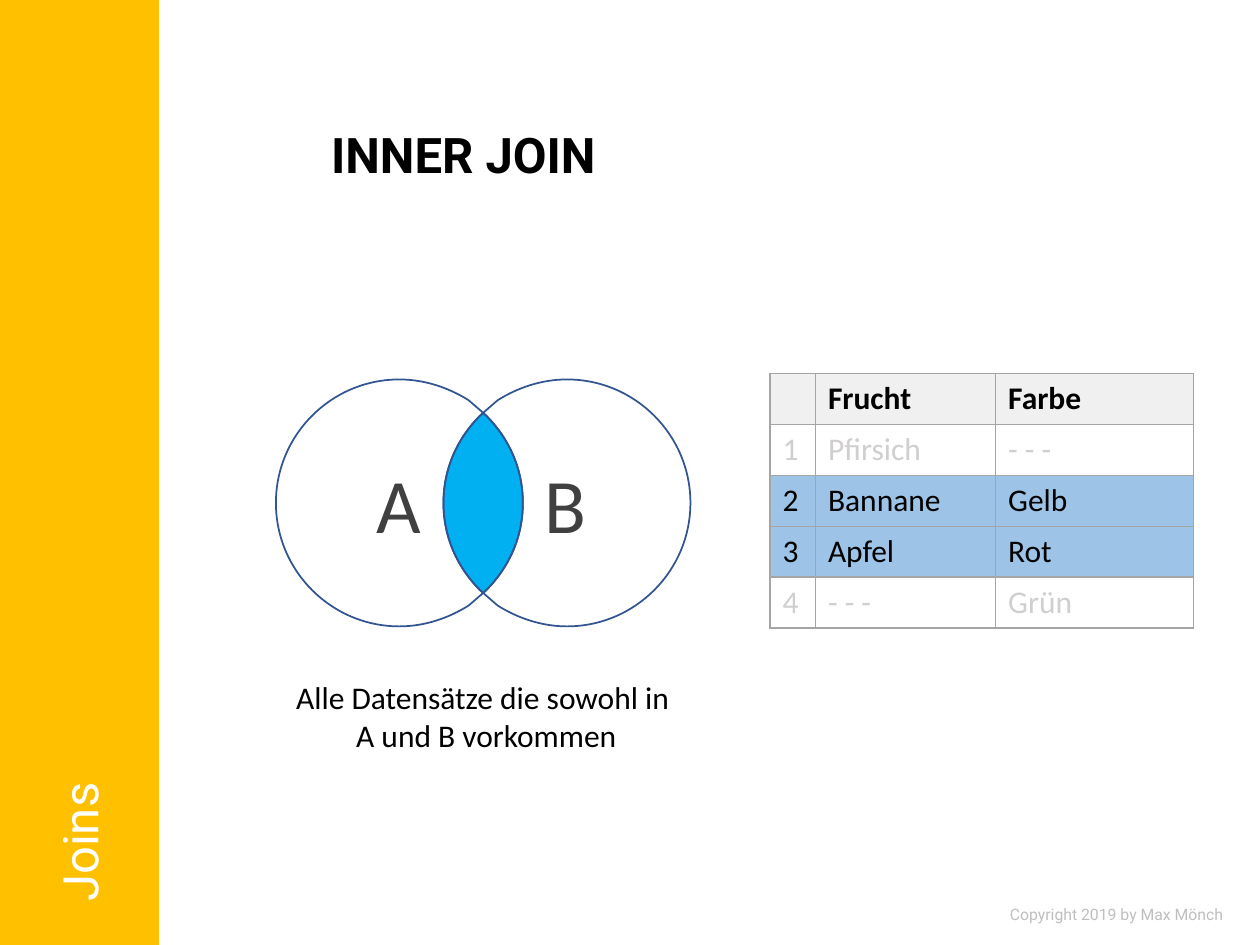
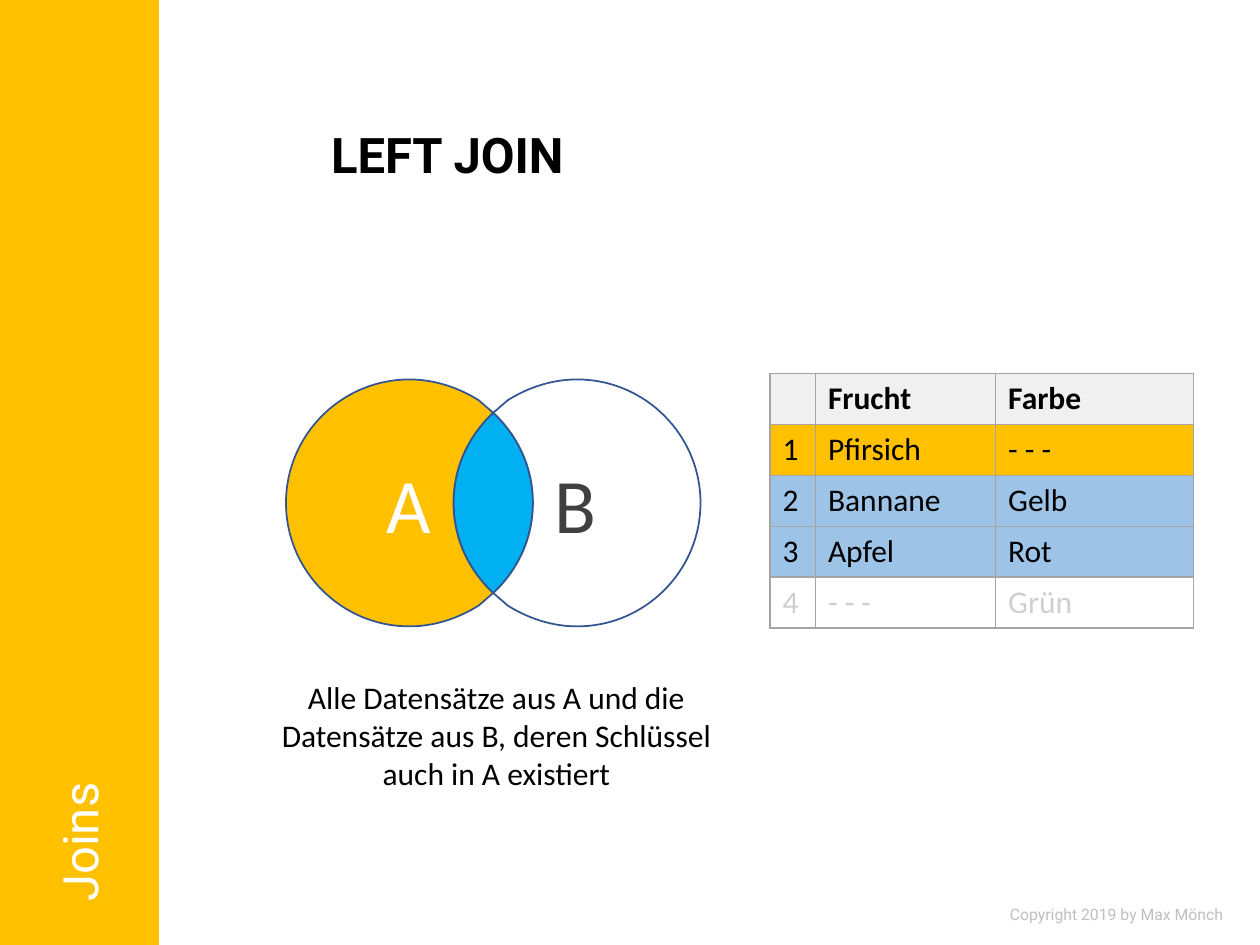
"""Build two slides that explain SQL joins with Venn diagrams and result tables."""
from dataclasses import dataclass

from lxml import etree
from pptx import Presentation
from pptx.dml.color import RGBColor
from pptx.enum.shapes import MSO_SHAPE
from pptx.enum.text import MSO_ANCHOR, PP_ALIGN
from pptx.oxml.ns import qn
from pptx.util import Inches, Pt

LEFT, CENTER = PP_ALIGN.LEFT, PP_ALIGN.CENTER
TOP, MIDDLE = MSO_ANCHOR.TOP, MSO_ANCHOR.MIDDLE
RECTANGLE = MSO_SHAPE.RECTANGLE


@dataclass(frozen=True)
class Theme:
    heading_font: str = "Roboto"
    body_font: str = "Calibri"
    title_size: int = 28
    body_size: int = 18
    letter_size: int = 44
    footer_size: int = 9
    line_width: int = 1
    accent: str = "FFC000"
    overlap: str = "00B0F0"
    outline: str = "325491"
    matched: str = "9DC3E6"
    header: str = "F0F0F0"
    border: str = "A5A5A5"
    white: str = "FFFFFF"
    black: str = "000000"
    letter: str = "404040"
    muted: str = "D0CECE"
    footer: str = "BFBFBF"


theme = Theme()
presentation = Presentation()
presentation.slide_width = Inches(10)
presentation.slide_height = Inches(7.5)
COLUMN = presentation.slide_width / 100
ROW = presentation.slide_height / 75


def add_text(slide, box, lines, font, size, color, bold=False, align=CENTER, anchor=TOP):
    """Add a text box, placed in grid units, with one paragraph per line."""
    left, top, width, height = box
    shape = slide.shapes.add_textbox(
        round(left * COLUMN), round(top * ROW), round(width * COLUMN), round(height * ROW))
    frame = shape.text_frame
    frame.word_wrap = True
    frame.vertical_anchor = anchor
    frame.text = "\n".join(lines)
    for paragraph in frame.paragraphs:
        paragraph.alignment = align
        paragraph.font.name = font
        paragraph.font.size = Pt(size)
        paragraph.font.bold = bold
        paragraph.font.color.rgb = RGBColor.from_string(color)
    return shape


def edge(upper_half, venn_x, side):
    """Return a curve from the upper to the lower crossing, on side -1 or 1."""
    lower_half = [(x, -y) for x, y in upper_half[-2::-1]]
    return [(round((venn_x + side * x) * COLUMN), round((VENN_Y + y) * ROW))
            for x, y in upper_half + lower_half]


VENN_Y = 39.92
HALF_DISTANCE = 6.65
INNER_EDGE = [(0, -7.15), (0.25, -6.92), (2.05, -5.12), (3.15, -2.72), (3.15, 0)]
OUTER_EDGE = [(0, -7.15), (1.15, -8.15), (2.75, -9.15), (4.65, -9.8), (6.65, -9.8),
              (12.05, -9.8), (16.45, -5.4), (16.45, 0)]
TABLE_COLUMNS = (3.6, 14.3, 15.7)
TABLE_ROW = 4.04
FRUITS = (
    ("", "Frucht", "Farbe"),
    ("1", "Pfirsich", "- - -"),
    ("2", "Bannane", "Gelb"),
    ("3", "Apfel", "Rot"),
    ("4", "- - -", "Grün"),
)
JOINS = (
    {
        "title": "INNER JOIN",
        "caption": ("Alle Datensätze die sowohl in ", "A und B vorkommen"),
        "venn_x": 38.35,
        "circle_fills": (None, None),
        "letter_colors": (theme.letter, theme.letter),
        "row_fills": (theme.header, theme.white, theme.matched, theme.matched, theme.white),
    },
    {
        "title": "LEFT JOIN",
        "caption": ("Alle Datensätze aus A und die Datensätze aus B, "
                    "deren Schlüssel auch in A existiert",),
        "venn_x": 39.15,
        "circle_fills": (theme.accent, theme.white),
        "letter_colors": (theme.white, theme.letter),
        "row_fills": (theme.header, theme.accent, theme.matched, theme.matched, theme.white),
    },
)

for join in JOINS:
    slide = presentation.slides.add_slide(presentation.slide_layouts[6])

    band = slide.shapes.add_shape(
        RECTANGLE, 0, 0, round(12.62 * COLUMN), presentation.slide_height)
    band.shadow.inherit = False
    band.fill.solid()
    band.fill.fore_color.rgb = RGBColor.from_string(theme.accent)
    band.line.fill.background()
    add_text(slide, (77.2, 71.3, 22.8, 2.5), ["Copyright 2019 by Max Mönch"],
             theme.heading_font, theme.footer_size, theme.footer)

    title = add_text(slide, (25.3, 8.25, 67.9, 8.5), [join["title"]], theme.heading_font,
                     theme.title_size, theme.black, bold=True, align=LEFT, anchor=MIDDLE)
    chapter = add_text(slide, (-29.1, 33.6, 72, 5.9), ["Joins"], theme.heading_font,
                       theme.title_size, theme.white, align=LEFT)
    chapter.rotation = 270
    chapter.text_frame.paragraphs[0].space_before = Pt(10)
    for heading in (title, chapter):
        heading.text_frame.paragraphs[0].line_spacing = 0.9

    venn_x = join["venn_x"]
    lens_left, lens_right = (edge(INNER_EDGE, venn_x, side) for side in (-1, 1))
    outer_left, outer_right = (edge(OUTER_EDGE, venn_x, side) for side in (-1, 1))
    regions = (
        (lens_right, lens_left, theme.overlap),
        (lens_left, outer_left, join["circle_fills"][0]),
        (outer_right, lens_right, join["circle_fills"][1]),
    )
    for down, up, fill in regions:
        builder = slide.shapes.build_freeform(*down[0])
        builder.add_line_segments(down[1:] + up[-2::-1], close=True)
        region = builder.convert_to_shape()
        lines = list(region._element.iter(qn("a:lnTo")))
        split = len(down) - 1
        for side_lines in (lines[:split], lines[split:]):
            for first in range(1, len(side_lines) - 1, 3):
                curve = etree.Element(qn("a:cubicBezTo"))
                side_lines[first].addprevious(curve)
                for line in side_lines[first:first + 3]:
                    curve.append(line[0])
                    line.getparent().remove(line)
        region.shadow.inherit = False
        region.line.color.rgb = RGBColor.from_string(theme.outline)
        region.line.width = Pt(theme.line_width)
        if fill:
            region.fill.solid()
            region.fill.fore_color.rgb = RGBColor.from_string(fill)
        else:
            region.fill.background()

    add_text(slide, (venn_x - 19.6, 53.35, 39.7, 7.1), join["caption"],
             theme.body_font, theme.body_size, theme.black)
    for letter, side, color in zip("AB", (-1, 1), join["letter_colors"]):
        add_text(slide, (venn_x + side * HALF_DISTANCE - 2.8, 35.75, 5.2, 8.4), [letter],
                 theme.body_font, theme.letter_size, color)

    table = slide.shapes.add_table(
        len(FRUITS), len(TABLE_COLUMNS), round(61.12 * COLUMN), round(29.65 * ROW),
        round(sum(TABLE_COLUMNS) * COLUMN), round(len(FRUITS) * TABLE_ROW * ROW)).table
    table.first_row = False
    table.horz_banding = False
    for column, width in zip(table.columns, TABLE_COLUMNS):
        column.width = round(width * COLUMN)
    for row_index, (values, fill) in enumerate(zip(FRUITS, join["row_fills"])):
        table.rows[row_index].height = round(TABLE_ROW * ROW)
        color = theme.muted if fill == theme.white else theme.black
        for column_index, value in enumerate(values):
            cell = table.cell(row_index, column_index)
            cell.text = value
            font = cell.text_frame.paragraphs[0].font
            font.name = theme.body_font
            font.size = Pt(theme.body_size)
            font.bold = row_index == 0
            font.color.rgb = RGBColor.from_string(color)
            properties = cell._tc.get_or_add_tcPr()
            for side in ("a:lnL", "a:lnR", "a:lnT", "a:lnB"):
                border = etree.SubElement(properties, qn(side), w=str(Pt(theme.line_width)))
                border_fill = etree.SubElement(border, qn("a:solidFill"))
                etree.SubElement(border_fill, qn("a:srgbClr"), val=theme.border)
            cell.fill.solid()
            cell.fill.fore_color.rgb = RGBColor.from_string(fill)

presentation.save("out.pptx")
